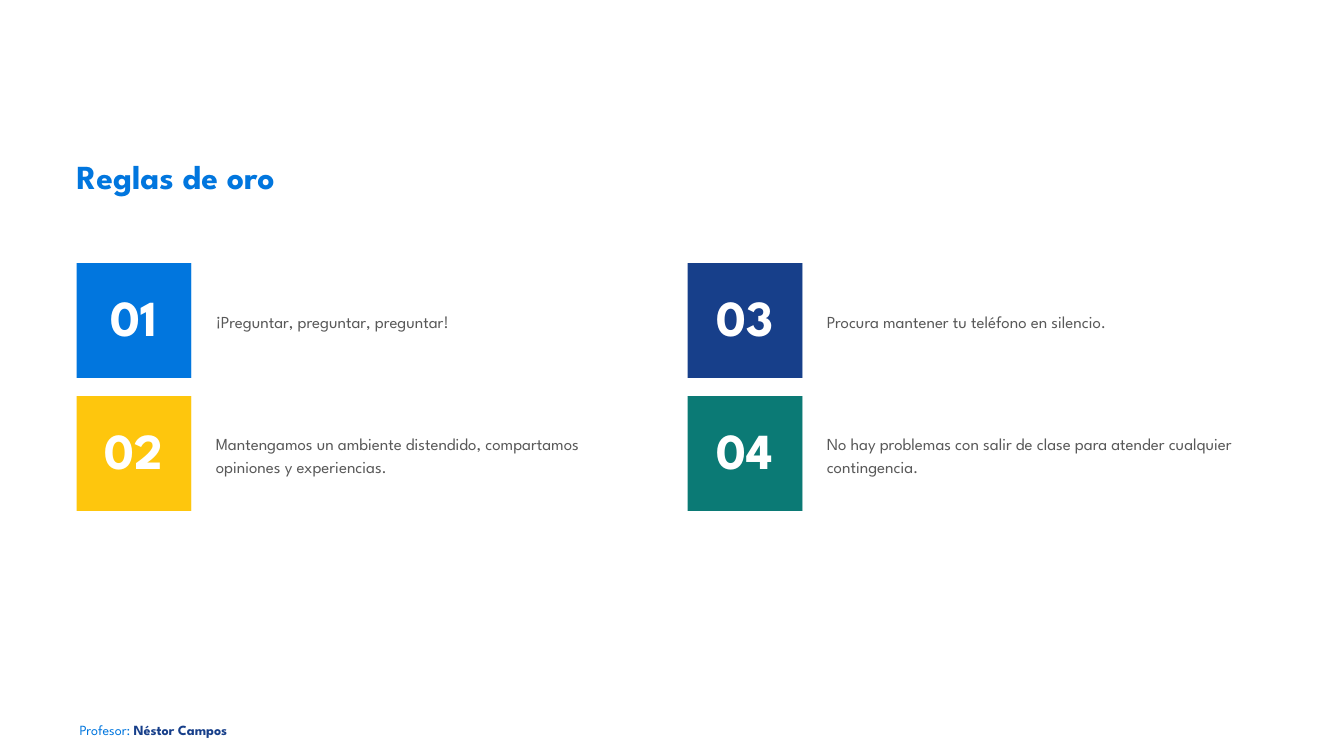
from pptx import Presentation
from pptx.dml.color import RGBColor
from pptx.enum.shapes import MSO_SHAPE
from pptx.enum.text import MSO_ANCHOR, PP_ALIGN
from pptx.util import Inches, Pt

FONT = "League Spartan"
BLUE, NAVY, YELLOW, TEAL = "0176DE", "173F8A", "FEC60D", "0B7A75"
WHITE, GRAY = "FFFFFF", "595959"

TITLE = "Reglas de oro"
FOOTER = [("Profesor: ", BLUE, False), ("Néstor Campos", NAVY, True)]
RULES = [
    ("¡Preguntar, preguntar, preguntar!", BLUE),
    ("Mantengamos un ambiente distendido, compartamos opiniones y experiencias.", YELLOW),
    ("Procura mantener tu teléfono en silencio.", NAVY),
    ("No hay problemas con salir de clase para atender cualquier contingencia.", TEAL),
]

LEFT, TOP = 0.76, 2.61
COLUMN_STEP, ROW_STEP = 6.06, 1.32
ROWS = 2
TILE, RULE_WIDTH = 1.14, 4.61


def color(value):
    return RGBColor.from_string(value)


def write(shape, spans, size, spacing, margins=(0, 0),
          anchor=MSO_ANCHOR.TOP, align=PP_ALIGN.LEFT):
    """Fill a shape with one paragraph of (text, color, bold) spans."""
    frame = shape.text_frame
    frame.word_wrap = True
    frame.vertical_anchor = anchor
    frame.margin_left = frame.margin_right = Inches(margins[0])
    frame.margin_top = frame.margin_bottom = Inches(margins[1])
    para = frame.paragraphs[0]
    para.alignment = align
    para.line_spacing = spacing
    para.font.name = FONT
    para.font.size = Pt(size)
    for text, tint, bold in spans:
        span = para.add_run()
        span.text = text
        span.font.color.rgb = color(tint)
        span.font.bold = bold


def add_text(page, left, top, width, height):
    return page.shapes.add_textbox(*map(Inches, (left, top, width, height)))


def add_block(page, left, top, width, fill):
    block = page.shapes.add_shape(
        MSO_SHAPE.RECTANGLE, *map(Inches, (left, top, width, TILE)))
    block.shadow.inherit = False
    block.fill.solid()
    block.fill.fore_color.rgb = color(fill)
    block.line.fill.background()
    return block


def add_rule(page, index, text, fill):
    column, row = divmod(index, ROWS)
    left = LEFT + column * COLUMN_STEP
    top = TOP + row * ROW_STEP
    write(add_block(page, left, top, TILE, fill),
          [(f"{index + 1:02}", WHITE, True)], 36, 0.9,
          (0.1, 0.05), MSO_ANCHOR.MIDDLE, PP_ALIGN.CENTER)
    write(add_block(page, left + TILE, top, RULE_WIDTH, WHITE),
          [(text, GRAY, False)], 12, 1.17, (0.24, 0.24), MSO_ANCHOR.MIDDLE)


def main():
    deck = Presentation()
    deck.slide_width, deck.slide_height = Inches(13.33), Inches(7.5)
    page = deck.slides.add_slide(deck.slide_layouts[6])
    write(add_text(page, 0.79, 6.96, 2, 0.26), FOOTER, 10, 2.2)
    write(add_text(page, LEFT, 1.5, 10.04, 0.68), [(TITLE, BLUE, True)], 24, 1.12)
    for index, (text, fill) in enumerate(RULES):
        add_rule(page, index, text, fill)
    deck.save("out.pptx")


if __name__ == "__main__":
    main()
